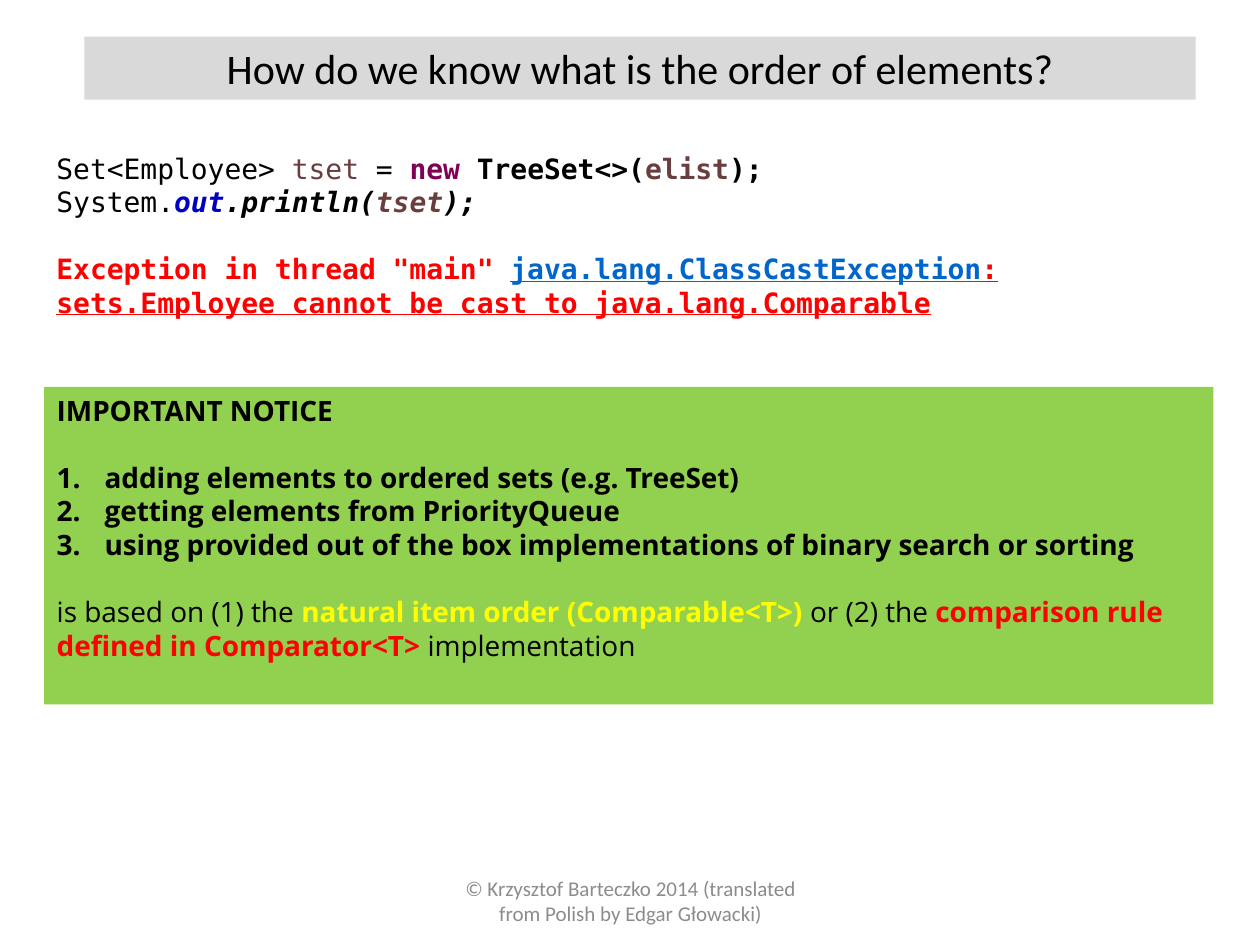
from dataclasses import dataclass

from lxml import etree
from pptx import Presentation
from pptx.dml.color import RGBColor
from pptx.enum.text import MSO_ANCHOR, MSO_AUTO_SIZE, PP_ALIGN
from pptx.oxml.ns import qn
from pptx.util import Inches, Pt

CENTER, LEFT = PP_ALIGN.CENTER, PP_ALIGN.LEFT
MIDDLE, TOP = MSO_ANCHOR.MIDDLE, MSO_ANCHOR.TOP
NO_AUTOFIT = MSO_AUTO_SIZE.NONE


@dataclass(frozen=True)
class Theme:
    """Fonts, sizes in points and colours of the slide."""
    heading_font: str = "Calibri"
    code_font: str = "DejaVu Sans Mono"
    notice_font: str = "Open Sans"
    title_size: int = 24
    text_size: int = 16
    footer_size: int = 12
    line_height: float = 19.2
    text: str = "000000"
    footer: str = "8C8C8C"
    title_fill: str = "D9D9D9"
    notice_fill: str = "92D050"
    variable: str = "6A3E3E"
    keyword: str = "7F0055"
    field: str = "0000C0"
    error: str = "FF0000"
    link: str = "0066CC"
    highlight: str = "FFFF00"


class SlideBuilder:
    """Holds the theme and the current slide and adds elements to it."""

    def __init__(self, slide, theme):
        """Keep the slide and its theme."""
        self.slide = slide
        self.theme = theme

    def place(self, shape, box, anchor, fill=None):
        """Position a text shape, set its text frame and optional fill."""
        shape.left, shape.top, shape.width, shape.height = map(Inches, box)
        frame = shape.text_frame
        frame.word_wrap = True
        frame.auto_size = NO_AUTOFIT
        frame.vertical_anchor = anchor
        if fill:
            shape.fill.solid()
            shape.fill.fore_color.rgb = RGBColor.from_string(fill)
        return frame

    def add_runs(self, paragraph, runs, font, size, align=LEFT):
        """Add (text, colour, styles) runs; styles are letters of 'biu'."""
        paragraph.alignment = align
        paragraph.space_before = paragraph.space_after = Pt(0)
        for text, color, styles in runs:
            run = paragraph.add_run()
            run.text = text
            run.font.name = font
            run.font.size = Pt(size)
            run.font.bold = "b" in styles
            run.font.italic = "i" in styles
            run.font.underline = "u" in styles
            run.font.color.rgb = RGBColor.from_string(color)

    def title(self, text, box):
        """Fill the title placeholder as a grey band."""
        theme = self.theme
        frame = self.place(self.slide.shapes.title, box, MIDDLE, theme.title_fill)
        self.add_runs(frame.paragraphs[0], [(text, theme.text, "")],
                      theme.heading_font, theme.title_size, CENTER)

    def footer(self, text, box):
        """Add the centred credit line."""
        theme = self.theme
        frame = self.place(self.slide.shapes.add_textbox(0, 0, 0, 0), box, MIDDLE)
        self.add_runs(frame.paragraphs[0], [(text, theme.footer, "")],
                      theme.heading_font, theme.footer_size, CENTER)

    def paragraphs(self, frame, font, entries):
        """Add (runs, gap in lines before, numbered) paragraphs."""
        theme = self.theme
        for index, (runs, gap, numbered) in enumerate(entries):
            paragraph = frame.add_paragraph() if index else frame.paragraphs[0]
            self.add_runs(paragraph, runs, font, theme.text_size)
            paragraph.line_spacing = Pt(theme.line_height)
            paragraph.space_before = Pt(gap * theme.line_height)
            self.number(paragraph, numbered)

    def number(self, paragraph, numbered):
        """Set automatic numbering with a hanging indent, or no bullet."""
        indent = Inches(0.38) if numbered else 0
        properties = paragraph._p.get_or_add_pPr()
        properties.set("marL", str(indent))
        properties.set("indent", str(-indent))
        if numbered:
            etree.SubElement(properties, qn("a:buFont"), typeface="+mj-lt")
            etree.SubElement(properties, qn("a:buAutoNum"), type="arabicPeriod")
        else:
            etree.SubElement(properties, qn("a:buNone"))

    def code(self, entries, box):
        """Add a text box with monospaced lines."""
        frame = self.place(self.slide.shapes.add_textbox(0, 0, 0, 0), box, TOP)
        self.paragraphs(frame, self.theme.code_font, entries)

    def notice(self, entries, box):
        """Fill the body placeholder as a coloured panel."""
        frame = self.place(self.slide.placeholders[1], box, TOP,
                           self.theme.notice_fill)
        self.paragraphs(frame, self.theme.notice_font, entries)


def main():
    """Build the slide and save it."""
    theme = Theme()
    presentation = Presentation()
    presentation.slide_width = Inches(10)
    presentation.slide_height = Inches(7.5)
    slide = presentation.slides.add_slide(presentation.slide_layouts[1])
    builder = SlideBuilder(slide, theme)

    builder.footer("© Krzysztof Barteczko 2014 (translated from Polish by Edgar Głowacki)",
                   (3.42, 6.95, 3.17, 0.4))
    builder.title("How do we know what is the order of elements?",
                  (0.67, 0.29, 8.82, 0.5))

    declaration = [("Set<Employee> ", theme.text, ""), ("tset", theme.variable, ""),
                   (" = ", theme.text, ""), ("new ", theme.keyword, "b"),
                   ("TreeSet<>(", theme.text, "b"), ("elist", theme.variable, "b"),
                   (");", theme.text, "b")]
    printing = [("System.", theme.text, ""), ("out", theme.field, "bi"),
                (".println(", theme.text, "bi"), ("tset", theme.variable, "bi"),
                (");", theme.text, "bi")]
    exception = [('Exception in thread "main" ', theme.error, "b"),
                 ("java.lang.ClassCastException", theme.link, "bu"),
                 (": sets.Employee cannot be cast to java.lang.Comparable",
                  theme.error, "bu")]
    builder.code([(declaration, 0, False), (printing, 0, False),
                  (exception, 1, False)], (0.35, 1.15, 9.37, 1.45))

    operations = ["adding elements to ordered sets (e.g. TreeSet)",
                  "getting elements from PriorityQueue",
                  "using provided out of the box implementations of binary search or sorting"]
    numbered = [([(text, theme.text, "b")], 0 if index else 1, True)
                for index, text in enumerate(operations)]
    rule = [("is based on (1) the ", theme.text, ""),
            ("natural item order (Comparable<T>)", theme.highlight, "b"),
            (" or (2) the ", theme.text, ""),
            ("comparison rule defined in Comparator<T>", theme.error, "b"),
            (" implementation", theme.text, "")]
    builder.notice([([("IMPORTANT NOTICE", theme.text, "b")], 0, False),
                    *numbered, (rule, 1, False)], (0.35, 3.07, 9.28, 2.52))

    presentation.save("out.pptx")


main()
